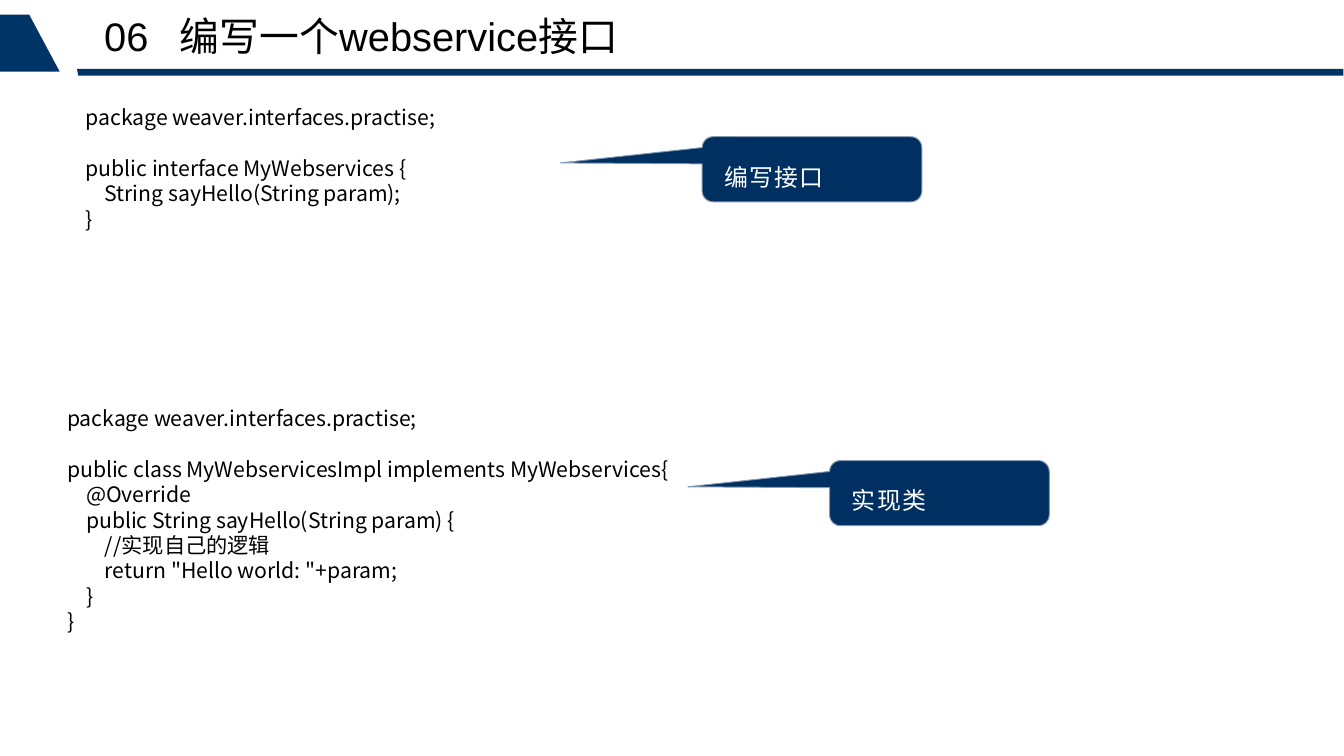
from pptx import Presentation, util as u
from pptx.dml.color import RGBColor
from pptx.enum import shapes, text
from pptx.oxml.ns import qn
from lxml import etree

WIDTH, HEIGHT = 1012.5, 569.5
CODE_FONT = "Noto Sans CJK SC"
NAVY, CALLOUT_FILL, CALLOUT_LINE = "003366", "003061", "8497B0"

INTERFACE_CODE = """package weaver.interfaces.practise;

public interface MyWebservices {
    String sayHello(String param);
}"""

CLASS_CODE = """package weaver.interfaces.practise;

public class MyWebservicesImpl implements MyWebservices{
    @Override
    public String sayHello(String param) {
        //实现自己的逻辑
        return "Hello world: "+param;
    }
}"""


def color(value):
    return RGBColor.from_string(value)


def style_run(r, size, font, fill):
    r.font.size = u.Pt(size)
    r.font.name = font
    r.font.color.rgb = color(fill)


def set_east_asian_font(r, font):
    ea = etree.SubElement(r.font._element, qn("a:ea"))
    ea.set("typeface", font)


def set_margins(tf, x, y):
    tf.margin_left = tf.margin_right = u.Pt(x)
    tf.margin_top = tf.margin_bottom = u.Pt(y)


def add_polygon(s, points):
    builder = s.shapes.build_freeform(*points[0], scale=u.Pt(1))
    builder.add_line_segments(points[1:], close=True)
    sp = builder.convert_to_shape()
    sp.shadow.inherit = False
    sp.fill.solid()
    sp.fill.fore_color.rgb = color(NAVY)
    sp.line.fill.background()


def add_header(s, number, title, left, top, width, height):
    tab_bottom = top + 42.5
    add_polygon(s, [(left, top), (left + 22.5, top),
                    (left + 45, tab_bottom), (left, tab_bottom)])
    rule_top = top + 40.5
    rule_bottom = top + height
    add_polygon(s, [(left + 57.5, rule_top), (left + width, rule_top),
                    (left + width, rule_bottom), (left + 59, rule_bottom)])

    sp = s.shapes.title
    sp.left, sp.top = u.Pt(left + 78.5), u.Pt(top - 2)
    sp.width, sp.height = u.Pt(616), u.Pt(36)
    tf = sp.text_frame
    tf.auto_size = text.MSO_AUTO_SIZE.NONE
    tf.vertical_anchor = text.MSO_ANCHOR.TOP
    set_margins(tf, 0, 0)
    tf.text = f"{number}\t{title}"
    p = tf.paragraphs[0]
    tabs = etree.SubElement(p._p.get_or_add_pPr(), qn("a:tabLst"))
    etree.SubElement(tabs, qn("a:tab"), pos=str(u.Pt(57)), algn="l")
    p.alignment = text.PP_ALIGN.LEFT
    p.line_spacing = u.Pt(36)
    for r in p.runs:
        style_run(r, 30, "Arial", "000000")


def add_code(s, code, left, top, width, height):
    """Show code with each empty source line as space before the next line."""
    pitch = 19.2
    tf = s.shapes.add_textbox(*map(u.Pt, (left, top, width, height))).text_frame
    tf.word_wrap = True
    lines = code.split("\n")
    tf.text = "\n".join(line for line in lines if line)
    after_gap = [not before for before, line in zip(["-"] + lines, lines) if line]
    for p, gap in zip(tf.paragraphs, after_gap):
        p.line_spacing = u.Pt(pitch)
        if gap:
            p.space_before = u.Pt(pitch)
        for r in p.runs:
            style_run(r, 16, CODE_FONT, "000000")
            set_east_asian_font(r, CODE_FONT)


def add_callout(s, label, left, top, width, height):
    sp = s.shapes.add_shape(shapes.MSO_SHAPE.ROUNDED_RECTANGULAR_CALLOUT,
                            *map(u.Pt, (left, top, width, height)))
    for i, value in enumerate((-1.145, -0.098, 0.167)):
        sp.adjustments[i] = value
    sp.shadow.inherit = False
    sp.fill.solid()
    sp.fill.fore_color.rgb = color(CALLOUT_FILL)
    sp.line.color.rgb = color(CALLOUT_LINE)
    sp.line.width = u.Pt(0.75)
    tf = sp.text_frame
    tf.word_wrap = True
    tf.vertical_anchor = text.MSO_ANCHOR.MIDDLE
    set_margins(tf, 14.4, 5.8)
    tf.text = label
    p = tf.paragraphs[0]
    p.alignment = text.PP_ALIGN.JUSTIFY
    p.line_spacing = 1.5
    r = p.runs[0]
    style_run(r, 18, CODE_FONT, "FFFFFF")
    set_east_asian_font(r, CODE_FONT)
    r.font._element.set("spc", "100")


def main():
    prs = Presentation()
    prs.slide_width, prs.slide_height = u.Pt(WIDTH), u.Pt(HEIGHT)
    s = prs.slides.add_slide(prs.slide_layouts[5])
    add_header(s, "06", "编写一个webservice接口", 0, 11, WIDTH, 46)
    add_code(s, INTERFACE_CODE, 57.5, 75, 562, 124)
    add_callout(s, "编写接口", 529, 103, 165.5, 49)
    add_code(s, CLASS_CODE, 43.5, 301.5, 485, 181.5)
    add_callout(s, "实现类", 625, 347, 165.5, 49)
    prs.save("out.pptx")


if __name__ == "__main__":
    main()
